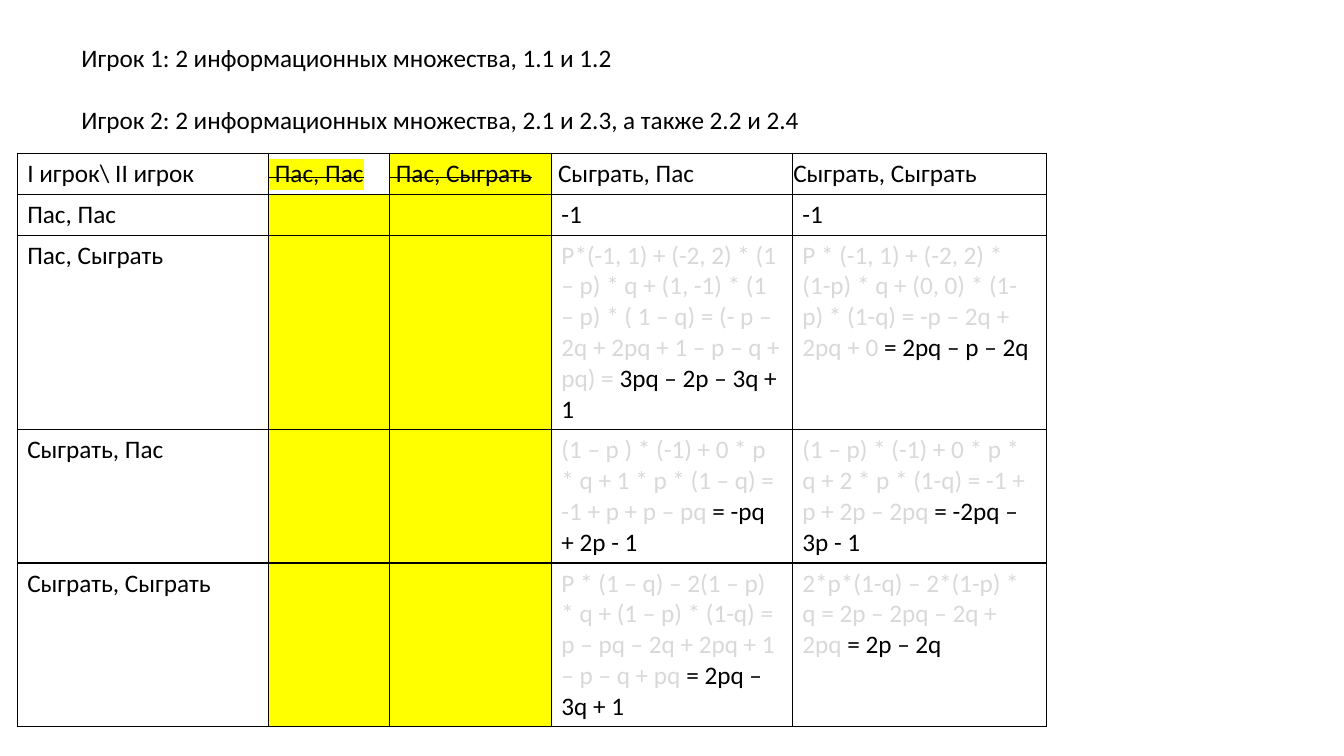
from dataclasses import dataclass

from lxml import etree
from pptx import Presentation
from pptx.dml.color import RGBColor
from pptx.enum.text import MSO_ANCHOR
from pptx.oxml.ns import qn
from pptx.util import Pt


@dataclass(frozen=True)
class Theme:
    font: str = "Calibri"
    size: float = 18
    ink: str = "000000"
    working: str = "D9D9D9"
    mark: str = "FFFF00"
    paper: str = "FFFFFF"
    border: float = 1


THEME = Theme()

PLAYERS = [
    "Игрок 1: 2 информационных множества, 1.1 и 1.2",
    "Игрок 2: 2 информационных множества, 2.1 и 2.3, а также 2.2 и 2.4",
]
HEADER = ["I игрок\\ II игрок", " Пас, Пас", " Пас, Сыграть",
          " Сыграть, Пас", "Сыграть, Сыграть"]
DOMINATED = (1, 2)
# Strategy of player I, then (working, result) against each remaining strategy
PAYOFFS = [
    ("Пас, Пас", ("", "-1"), ("", "-1")),
    ("Пас, Сыграть",
     ("P*(-1, 1) + (-2, 2) * (1 – p) * q + (1, -1) * (1 – p) * ( 1 – q) = "
      "(- p – 2q + 2pq + 1 – p – q + pq) = ", "3pq – 2p – 3q + 1"),
     ("P * (-1, 1) + (-2, 2) * (1-p) * q + (0, 0) * (1-p) * (1-q) = "
      "-p – 2q + 2pq + 0", " = 2pq – p – 2q")),
    ("Сыграть, Пас",
     ("(1 – p ) * (-1) + 0 * p * q + 1 * p * (1 – q) = -1 + p + p – pq ",
      "= -pq + 2p - 1"),
     ("(1 – p) * (-1) + 0 * p * q + 2 * p * (1-q) = -1 + p + 2p – 2pq ",
      "= -2pq – 3p - 1")),
    ("Сыграть, Сыграть",
     ("P * (1 – q) – 2(1 – p) * q + (1 – p) * (1-q) = "
      "p – pq – 2q + 2pq + 1 – p – q + pq ", "= 2pq – 3q + 1"),
     ("2*p*(1-q) – 2*(1-p) * q = 2p – 2pq – 2q + 2pq ", "= 2p – 2q")),
]
COLUMN_WIDTHS = [179.3, 86.4, 115.9, 172.1, 181.4]
ROW_HEIGHTS = [29.2, 29.2, 138.6, 95, 117]


def add_run(paragraph, text, color=THEME.ink, strike=False, highlight=False):
    run = paragraph.add_run()
    run.text = text
    run.font.size = Pt(THEME.size)
    run.font.color.rgb = RGBColor.from_string(color)
    props = run.font._element
    if strike:
        props.set("strike", "sngStrike")
    if highlight:
        mark = etree.SubElement(props, qn("a:highlight"))
        etree.SubElement(mark, qn("a:srgbClr"), val=THEME.mark)
    run.font.name = THEME.font


def style_cell(cell, color):
    """Fill the cell and draw its four borders."""
    cell.fill.solid()
    cell.fill.fore_color.rgb = RGBColor.from_string(color)
    props = cell._tc.get_or_add_tcPr()
    for index, side in enumerate("LRTB"):
        line = etree.Element(qn(f"a:ln{side}"), w=str(Pt(THEME.border)))
        fill = etree.SubElement(line, qn("a:solidFill"))
        etree.SubElement(fill, qn("a:srgbClr"), val=THEME.ink)
        props.insert(index, line)


def add_players(slide, left, top, width, height, pitch):
    for index, text in enumerate(PLAYERS):
        box = slide.shapes.add_textbox(
            Pt(left), Pt(top + index * pitch), Pt(width), Pt(height))
        box.text_frame.word_wrap = True
        add_run(box.text_frame.paragraphs[0], text)


def add_payoff_table(slide, left, top):
    table = slide.shapes.add_table(
        len(ROW_HEIGHTS), len(COLUMN_WIDTHS), Pt(left), Pt(top),
        Pt(sum(COLUMN_WIDTHS)), Pt(sum(ROW_HEIGHTS))).table
    table.first_row = table.horz_banding = False
    for column, width in zip(table.columns, COLUMN_WIDTHS):
        column.width = Pt(width)
    for row, height in zip(table.rows, ROW_HEIGHTS):
        row.height = Pt(height)

    # Fills and borders; the first header is marked by highlight only
    for r in range(len(ROW_HEIGHTS)):
        for c in range(len(COLUMN_WIDTHS)):
            marked = c in DOMINATED and (r, c) != (0, 1)
            style_cell(table.cell(r, c), THEME.mark if marked else THEME.paper)

    # Header row
    for c, text in enumerate(HEADER):
        cell = table.cell(0, c)
        if c:
            cell.vertical_anchor = MSO_ANCHOR.MIDDLE
            cell.margin_left = cell.margin_right = cell.margin_top = Pt(0.7)
            cell.margin_bottom = Pt(0)
        add_run(cell.text_frame.paragraphs[0], text,
                strike=c in DOMINATED, highlight=c == 1)

    # Strategies and payoffs
    for r, (strategy, *payoffs) in enumerate(PAYOFFS, start=1):
        add_run(table.cell(r, 0).text_frame.paragraphs[0], strategy)
        for c, (working, result) in enumerate(payoffs, start=3):
            paragraph = table.cell(r, c).text_frame.paragraphs[0]
            if working:
                add_run(paragraph, working, THEME.working)
            add_run(paragraph, result)


prs = Presentation()
prs.slide_width, prs.slide_height = Pt(960), Pt(540)
slide = prs.slides.add_slide(prs.slide_layouts[6])
add_payoff_table(slide, left=12.3, top=109.6)
add_players(slide, left=51.1, top=26.8, width=640, height=29, pitch=44.5)
prs.save("out.pptx")
